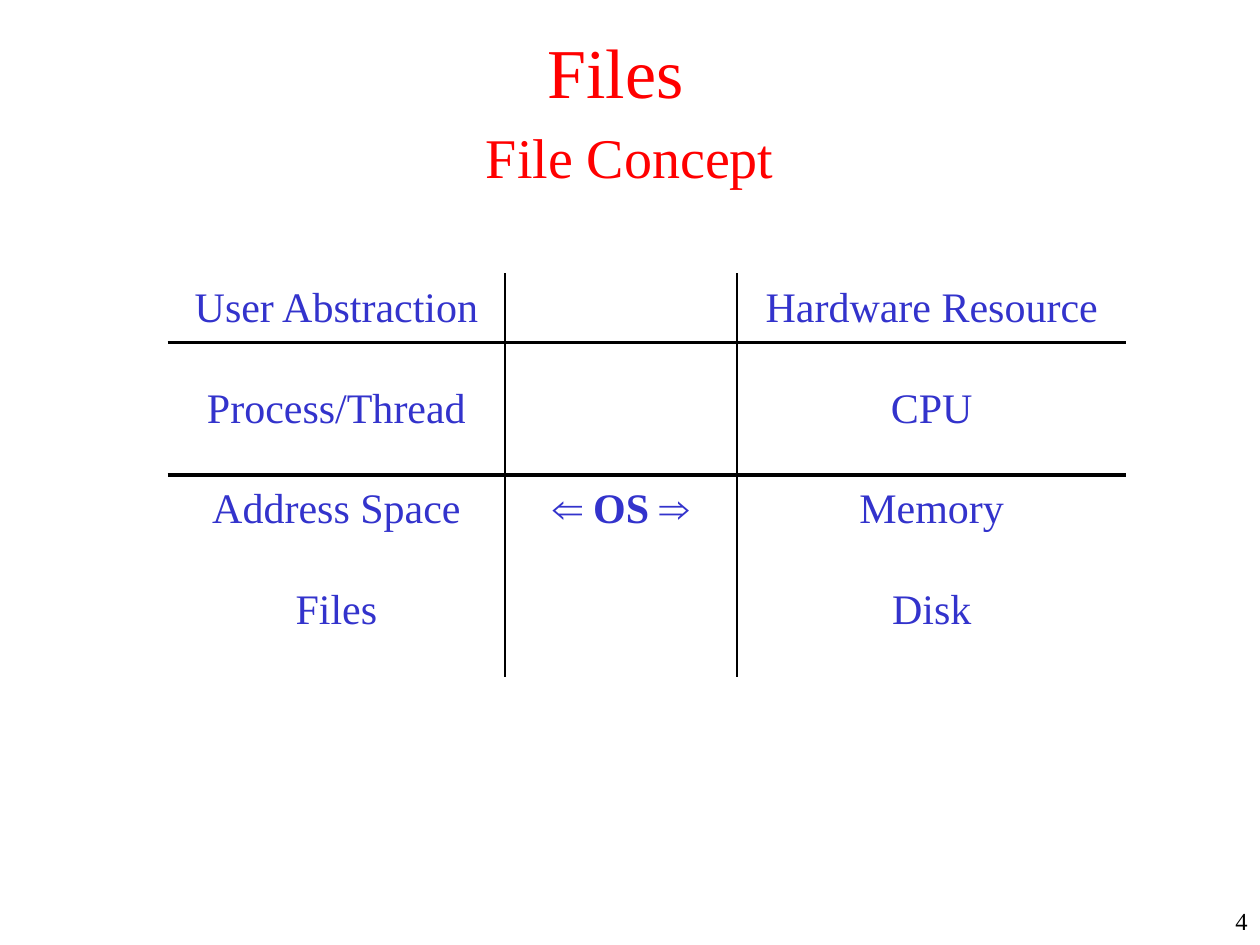
import pptx
import pptx.dml.color
import pptx.enum.text
import pptx.oxml.ns
import pptx.util
from lxml import etree

Inches, Pt = pptx.util.Inches, pptx.util.Pt
RGBColor = pptx.dml.color.RGBColor
PP_ALIGN = pptx.enum.text.PP_ALIGN
MSO_ANCHOR = pptx.enum.text.MSO_ANCHOR
qn = pptx.oxml.ns.qn

RED = RGBColor(0xFF, 0x00, 0x00)
BLUE = RGBColor(0x33, 0x33, 0xCC)
BLACK = RGBColor(0x00, 0x00, 0x00)
FONT = "Times New Roman"
PLAIN_TABLE = "{2D5ABB26-0587-4C30-8999-92F81FD0307C}"

COLUMNS = [2.68, 1.84, 3.09]
ROWS = [0.55, 1.05, 0.55, 1.05]
CELLS = [
    ["User Abstraction", "", "Hardware Resource"],
    ["Process/Thread", "", "CPU"],
    ["Address Space", "⇐ OS ⇒", "Memory"],
    ["Files", "", "Disk"],
]


def add_run(p, text, size, color, bold=False):
    r = p.add_run()
    r.text = text
    r.font.name = FONT
    r.font.size = Pt(size)
    r.font.bold = bold
    r.font.color.rgb = color


def add_text_box(slide, box, align, anchor):
    """Return the text frame and its first paragraph."""
    tf = slide.shapes.add_textbox(*(Inches(v) for v in box)).text_frame
    tf.word_wrap = True
    tf.vertical_anchor = anchor
    p = tf.paragraphs[0]
    p.alignment = align
    return tf, p


def add_title(slide, box):
    tf, p = add_text_box(slide, box, PP_ALIGN.CENTER, MSO_ANCHOR.MIDDLE)
    tf.margin_top = Inches(0.17)
    add_run(p, "Files", 40, RED)
    add_run(p, " ", 66, RED)
    p.add_line_break()
    add_run(p, "File Concept", 32, RED)


def add_page_number(slide, box):
    _, p = add_text_box(slide, box, PP_ALIGN.RIGHT, MSO_ANCHOR.TOP)
    add_run(p, "4", 14, BLACK)


def add_border(cell, side, width):
    ln = etree.SubElement(cell._tc.get_or_add_tcPr(), qn(f"a:ln{side}"), w=str(Pt(width)))
    fill = etree.SubElement(ln, qn("a:solidFill"))
    etree.SubElement(fill, qn("a:srgbClr"), val=str(BLACK))


def add_inner_borders(cell, row, col):
    if col > 0:
        add_border(cell, "L", 1)
    if col < len(COLUMNS) - 1:
        add_border(cell, "R", 1)
    if row == 1:
        add_border(cell, "T", 2.25)
    if row == 0:
        add_border(cell, "B", 2.25)


def add_concept_table(slide, left, top):
    frame = slide.shapes.add_table(
        len(ROWS), len(COLUMNS), Inches(left), Inches(top),
        Inches(sum(COLUMNS)), Inches(sum(ROWS)))
    table = frame.table
    table.first_row = table.horz_banding = False
    table._tbl.tblPr.find(qn("a:tableStyleId")).text = PLAIN_TABLE
    for column, width in zip(table.columns, COLUMNS):
        column.width = Inches(width)
    for i, (row, height) in enumerate(zip(table.rows, ROWS)):
        row.height = Inches(height)
        for j, text in enumerate(CELLS[i]):
            cell = table.cell(i, j)
            add_inner_borders(cell, i, j)
            cell.fill.background()
            cell.vertical_anchor = MSO_ANCHOR.MIDDLE
            p = cell.text_frame.paragraphs[0]
            p.alignment = PP_ALIGN.CENTER
            if text:
                add_run(p, text, 24, BLUE, bold=(j == 1))


def main():
    prs = pptx.Presentation()
    prs.slide_width, prs.slide_height = Inches(10), Inches(7.5)
    slide = prs.slides.add_slide(prs.slide_layouts[6])
    add_page_number(slide, (9.47, 7.14, 0.53, 0.36))
    add_title(slide, (0.75, 0, 8.5, 1.25))
    add_concept_table(slide, 1.33, 2.17)
    prs.save("out.pptx")


if __name__ == "__main__":
    main()
